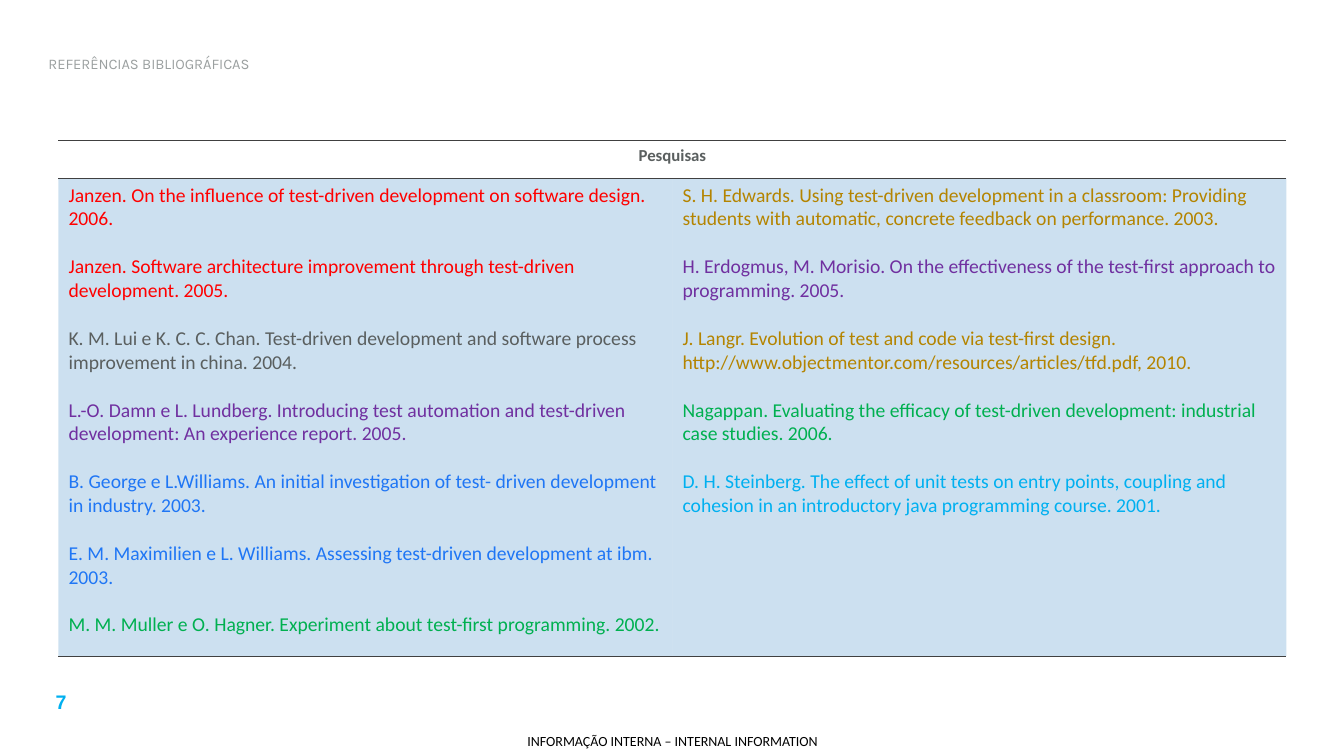
from lxml import etree
from pptx import Presentation
from pptx.dml.color import RGBColor
from pptx.enum.text import MSO_ANCHOR, MSO_AUTO_SIZE, PP_ALIGN
from pptx.oxml.ns import qn
from pptx.util import Inches, Pt

LEFT, CENTER = PP_ALIGN.LEFT, PP_ALIGN.CENTER
TOP, MIDDLE = MSO_ANCHOR.TOP, MSO_ANCHOR.MIDDLE
NO_FIT = MSO_AUTO_SIZE.NONE

RED, GRAY, PURPLE, BLUE = "FF0000", "5A5F5F", "7030A0", "1F76F5"
GREEN, GOLD, CYAN = "00B050", "B48400", "00B0F0"
PLAIN_STYLE = "{2D5ABB26-0587-4C30-8999-92F81FD0307C}"
GAP = 17.1  # one line of 14 pt text

# Each entry: text, colour, space before in points
EARLY = [
    ("Janzen. On the influence of test-driven development on software design. 2006.", RED, 0),
    ("Janzen. Software architecture improvement through test-driven development. 2005.", RED, GAP),
    ("K. M. Lui e K. C. C. Chan. Test-driven development and software process "
     "improvement in china. 2004.", GRAY, GAP),
    ("L.-O. Damn e L. Lundberg. Introducing test automation and test-driven "
     "development: An experience report. 2005.", PURPLE, GAP),
    ("B. George e L.Williams. An initial investigation of test- driven development "
     "in industry. 2003.", BLUE, GAP),
    ("E. M. Maximilien e L. Williams. Assessing test-driven development at ibm. 2003.", BLUE, GAP),
    ("M. M. Muller e O. Hagner. Experiment about test-first programming. 2002.", GREEN, GAP),
]
LATER = [
    ("S. H. Edwards. Using test-driven development in a classroom: Providing students "
     "with automatic, concrete feedback on performance. 2003.", GOLD, 0),
    ("H. Erdogmus, M. Morisio. On the effectiveness of the test-first approach to "
     "programming. 2005.", PURPLE, GAP),
    ("J. Langr. Evolution of test and code via test-first design.", GOLD, GAP),
    ("http://www.objectmentor.com/resources/articles/tfd.pdf, 2010.", GOLD, 0),
    ("Nagappan. Evaluating the efficacy of test-driven development: industrial case "
     "studies. 2006.", GREEN, GAP),
    ("D. H. Steinberg. The effect of unit tests on entry points, coupling and cohesion "
     "in an introductory java programming course. 2001.", CYAN, GAP),
]


def rgb(code):
    return RGBColor.from_string(code)


def write(para, text, size=14, color="000000", font="Calibri", bold=False,
          align=LEFT, before=0):
    para.alignment = align
    para.space_before = Pt(before)
    run = para.add_run()
    run.text = text
    run.font.name = font
    run.font.size = Pt(size)
    run.font.bold = bold
    run.font.color.rgb = rgb(color)


def set_frame(frame, anchor, inset=None):
    frame.word_wrap = True
    frame.auto_size = NO_FIT
    frame.vertical_anchor = anchor
    if inset is not None:
        frame.margin_left = frame.margin_right = inset
        frame.margin_top = frame.margin_bottom = inset


def add_label(slide, box, text, anchor=TOP, inset=None, **style):
    frame = slide.shapes.add_textbox(*map(Inches, box)).text_frame
    set_frame(frame, anchor, inset)
    write(frame.paragraphs[0], text, align=CENTER, **style)


def add_rules(cell, sides, color="404040"):
    props = cell._tc.get_or_add_tcPr()
    for spot, side in enumerate(sides):
        line = etree.Element(qn("a:ln" + side), w=str(Pt(1)))
        fill = etree.SubElement(line, qn("a:solidFill"))
        etree.SubElement(fill, qn("a:srgbClr"), val=color)
        props.insert(spot, line)


def tint(cell, color, percent):
    cell.fill.solid()
    cell.fill.fore_color.rgb = rgb(color)
    tone = cell._tc.tcPr.find(qn("a:solidFill"))[0]
    etree.SubElement(tone, qn("a:alpha"), val=str(percent * 1000))


def fill_refs(cell, refs):
    tint(cell, "0064B4", 20)
    frame = cell.text_frame
    for spot, (text, color, before) in enumerate(refs):
        para = frame.add_paragraph() if spot else frame.paragraphs[0]
        write(para, text, color=color, before=before)


def add_refs(slide):
    box = map(Inches, (0.58, 1.39, 12.18, 5.12))
    table = slide.shapes.add_table(2, 2, *box).table
    table._tbl.tblPr.find(qn("a:tableStyleId")).text = PLAIN_STYLE
    table.horz_banding = False
    for row, height in zip(table.rows, (0.38, 4.74)):
        row.height = Inches(height)

    # Header across both columns
    head = table.cell(0, 0)
    head.merge(table.cell(0, 1))
    write(head.text_frame.paragraphs[0], "Pesquisas", size=12, color=GRAY,
          bold=True, align=CENTER)

    # One list of references per column
    for col, refs in enumerate((EARLY, LATER)):
        fill_refs(table.cell(1, col), refs)
        add_rules(table.cell(0, col), "TB")
        add_rules(table.cell(1, col), "TB")


def main():
    deck = Presentation()
    deck.slide_width, deck.slide_height = Inches(13.33), Inches(7.5)
    slide = deck.slides.add_slide(deck.slide_layouts[5])

    # Title
    title = slide.shapes.title
    title.left, title.top = Inches(0.38), Inches(0.38)
    title.width, title.height = Inches(11.88), Inches(0.5)
    set_frame(title.text_frame, MIDDLE)
    write(title.text_frame.paragraphs[0], "REFERÊNCIAS BIBLIOGRÁFICAS",
          size=10.5, color="9BA0A0", font="Karla")

    add_refs(slide)

    # Page number and footer
    add_label(slide, (0.21, 6.8, 0.79, 0.34), "7", color=CYAN, font="Arial", bold=True)
    add_label(slide, (5.03, 7.21, 3.28, 0.29), "INFORMAÇÃO INTERNA – INTERNAL INFORMATION",
              anchor=MIDDLE, inset=0, size=10)

    deck.save("out.pptx")


if __name__ == "__main__":
    main()
